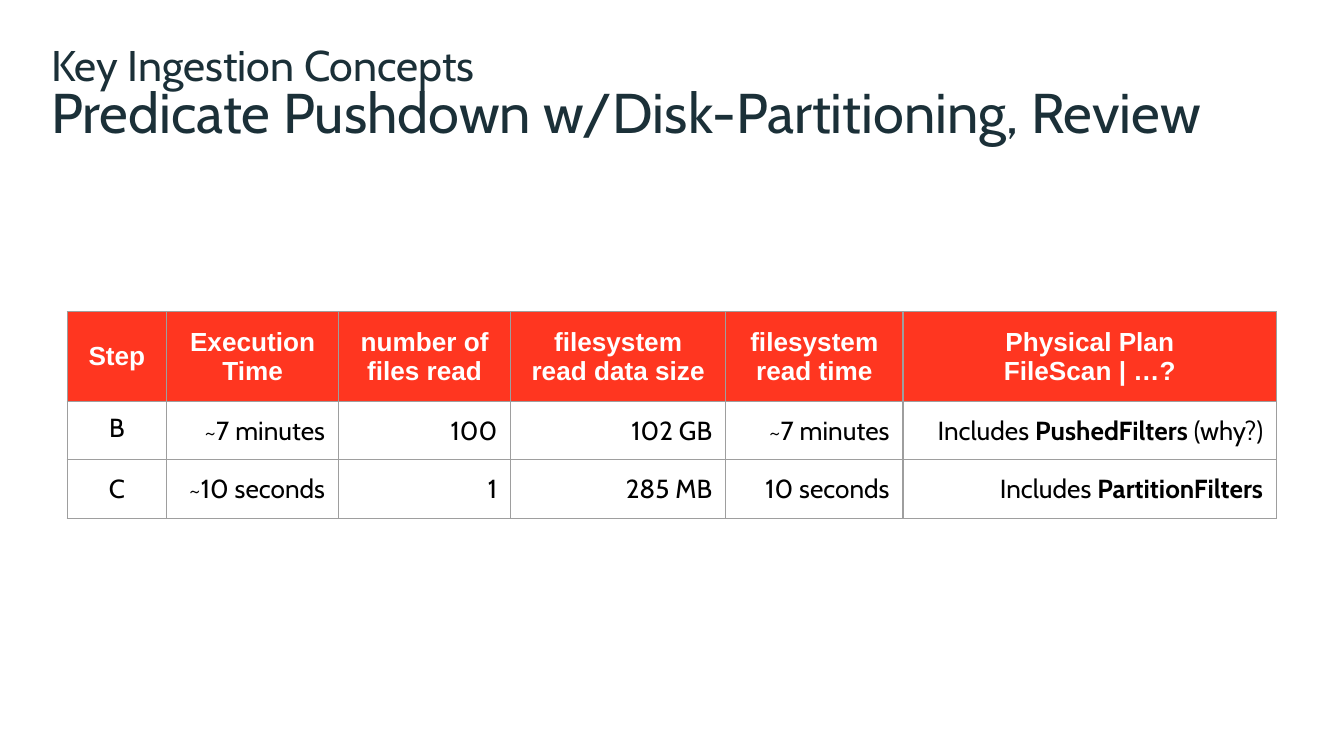
import pptx
import pptx.util
import pptx.dml.color
import pptx.enum.text
import pptx.oxml
import pptx.oxml.ns
from dataclasses import dataclass

Inches, Pt = pptx.util.Inches, pptx.util.Pt
Align = pptx.enum.text.PP_ALIGN
Anchor = pptx.enum.text.MSO_ANCHOR
SPACE = pptx.oxml.ns.nsdecls("a")


@dataclass(frozen=True)
class Theme:
    ink: str = "1B3038"
    red: str = "FF3620"
    white: str = "FFFFFF"
    black: str = "000000"
    rule: str = "9E9E9E"
    body: str = "Cabin"
    label: str = "Arial"
    small: int = 14
    lead: int = 23
    main: int = 30


THEME = Theme()
COLS = [0.74, 1.28, 1.28, 1.6, 1.32, 2.78]
ROWS = [0.62, 0.28, 0.4]  # least heights; rows grow with their text
HEAD = ["Step", "Execution Time", "number of\vfiles read",
        "filesystem\vread data size", "filesystem\vread time",
        "Physical Plan\vFileScan | …?"]
# A tuple alternates plain and bold pieces.
STEPS = [
    ["B", "~7 minutes", "100", "102 GB", "~7 minutes",
     ("Includes ", "PushedFilters ", "(why?)")],
    ["C", "~10 seconds", "1", "285 MB", "10 seconds",
     ("Includes ", "PartitionFilters")],
]


def color(code):
    return pptx.dml.color.RGBColor.from_string(code)


def style(font, name, size, code, bold=None):
    font.name, font.size, font.bold = name, Pt(size), bold
    font.color.rgb = color(code)


def add_line(slide, box, text, size, inset=0):
    """Place one line of heading text in the box."""
    frame = slide.shapes.add_textbox(*map(Inches, box)).text_frame
    frame.word_wrap = True
    frame.margin_left = frame.margin_right = 0
    frame.margin_top = frame.margin_bottom = Inches(inset)
    para = frame.paragraphs[0]
    para.text = text
    style(para.font, THEME.body, size, THEME.ink)


def add_head(slide, left, top, width):
    add_line(slide, (left, top, width, 0.42), "Key Ingestion Concepts",
             THEME.lead, 0.04)
    add_line(slide, (left, top + 0.33, width, 0.5),
             "Predicate Pushdown w/Disk-Partitioning, Review", THEME.main)


def add_rules(cell):
    """Draw a thin line on all four sides of the cell."""
    props = cell._tc.get_or_add_tcPr()
    for spot, side in enumerate(("lnL", "lnR", "lnT", "lnB")):
        props.insert(spot, pptx.oxml.parse_xml(
            f'<a:{side} {SPACE} w="{Pt(0.75)}"><a:solidFill>'
            f'<a:srgbClr val="{THEME.rule}"/></a:solidFill></a:{side}>'))


def fit_breaks(para):
    """Give line breaks the header font, so they do not stretch the line."""
    for mark in para._p.findall(pptx.oxml.ns.qn("a:br")):
        mark.append(pptx.oxml.parse_xml(
            f'<a:rPr {SPACE} sz="{THEME.small * 100}" b="1">'
            f'<a:latin typeface="{THEME.label}"/></a:rPr>'))


def fill_cell(cell, text, head, align):
    cell.margin_left = cell.margin_right = Inches(0.1)
    cell.margin_top = cell.margin_bottom = Inches(0.1)
    cell.vertical_anchor = Anchor.MIDDLE if head else Anchor.TOP
    cell.fill.solid()
    cell.fill.fore_color.rgb = color(THEME.red if head else THEME.white)
    add_rules(cell)
    para = cell.text_frame.paragraphs[0]
    para.alignment = align
    if isinstance(text, str):
        para.text = text
    else:
        for spot, piece in enumerate(text):
            run = para.add_run()
            run.text = piece
            run.font.bold = spot % 2 == 1
    if head:
        style(para.font, THEME.label, THEME.small, THEME.white, True)
        fit_breaks(para)
    else:
        style(para.font, THEME.body, THEME.small, THEME.black)


def add_steps(slide, left, top):
    table = slide.shapes.add_table(
        len(ROWS), len(COLS), Inches(left), Inches(top),
        Inches(sum(COLS)), Inches(sum(ROWS))).table
    table.horz_banding = False
    for col, width in zip(table.columns, COLS):
        col.width = Inches(width)
    for row, height in zip(table.rows, ROWS):
        row.height = Inches(height)
    for r, texts in enumerate([HEAD, *STEPS]):
        for c, text in enumerate(texts):
            align = Align.CENTER if r == 0 or c == 0 else Align.RIGHT
            fill_cell(table.cell(r, c), text, r == 0, align)
    table.cell(1, 0).text_frame.paragraphs[0].line_spacing = 0.9


def main():
    deck = pptx.Presentation()
    deck.slide_width = Inches(10)
    deck.slide_height = deck.slide_width * 9 // 16
    slide = deck.slides.add_slide(deck.slide_layouts[6])
    add_head(slide, 0.38, 0.25, 9.62)
    add_steps(slide, 0.5, 2.32)
    deck.save("out.pptx")


if __name__ == "__main__":
    main()
